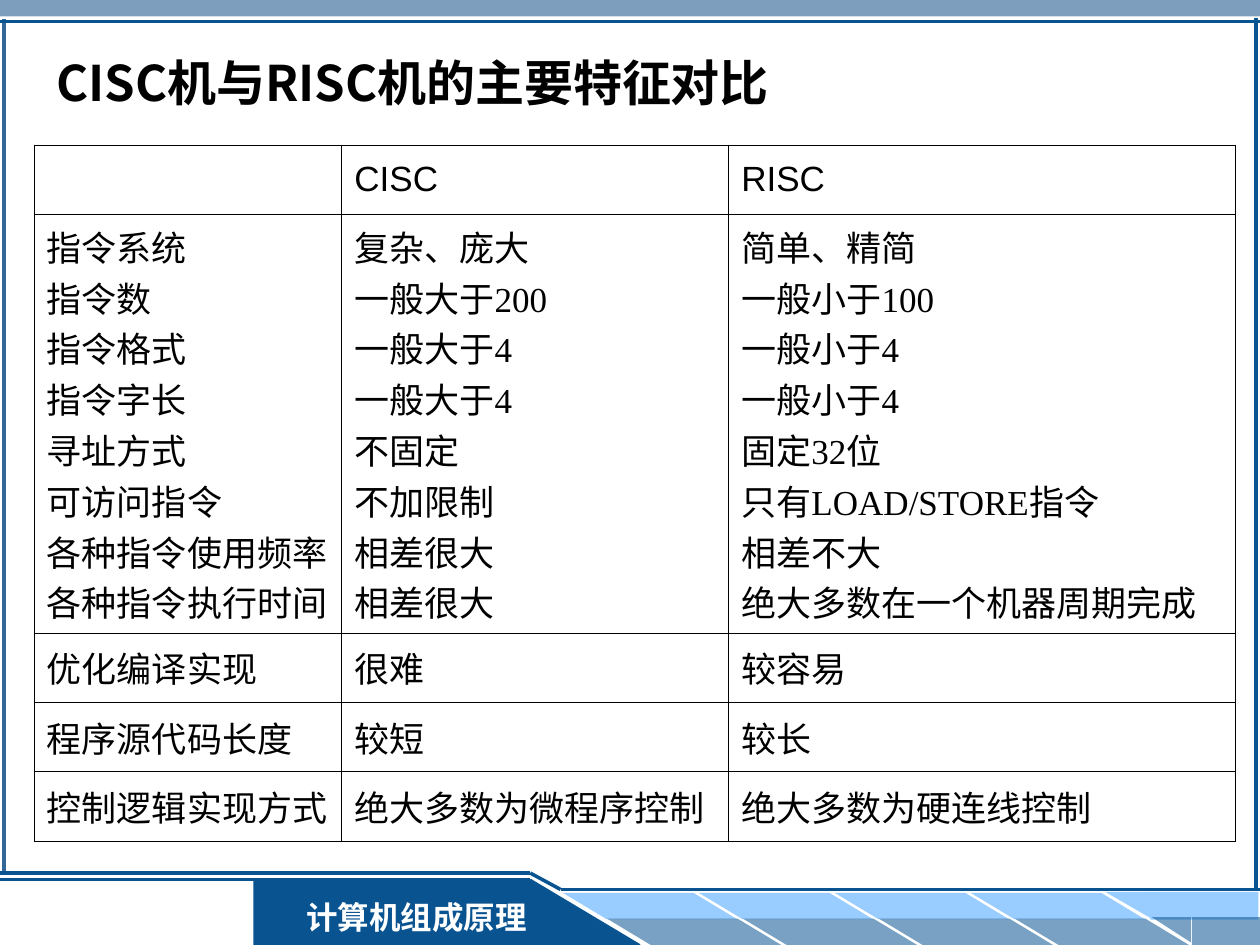
from dataclasses import dataclass

from lxml.etree import SubElement
from pptx import Presentation
from pptx.dml.color import RGBColor
from pptx.enum.shapes import MSO_CONNECTOR, MSO_SHAPE as Preset
from pptx.enum.text import MSO_ANCHOR, PP_ALIGN
from pptx.oxml.ns import qn
from pptx.util import Cm, Pt


@dataclass(frozen=True)
class Theme:
    navy: str = "095391"
    steel: str = "336699"
    sky: str = "99CCFF"
    black: str = "000000"
    white: str = "FFFFFF"
    chinese: str = "Noto Sans CJK SC"
    sans: str = "Arial"
    serif: str = "Times New Roman"
    title_size: int = 28
    table_size: int = 20
    footer_size: int = 18
    border: float = 0.45


theme = Theme()
presentation = Presentation()
presentation.slide_width, presentation.slide_height = Cm(25.4), Cm(19.05)
slide = presentation.slides.add_slide(presentation.slide_layouts[6])


def add_block(preset, left, top, width, height, color, alpha=100, flip=""):
    shape = slide.shapes.add_shape(preset, Cm(left), Cm(top), Cm(width), Cm(height))
    shape.shadow.inherit = False
    shape.line.fill.background()
    shape.fill.solid()
    shape.fill.fore_color.rgb = RGBColor.from_string(color)
    if alpha < 100:
        fill_color = shape._element.spPr.find(".//" + qn("a:srgbClr"))
        SubElement(fill_color, qn("a:alpha"), val=str(alpha * 1000))
    for axis in flip:
        shape._element.spPr.xfrm.set("flip" + axis, "1")
    return shape


def style_paragraph(paragraph, latin, size, color, bold=False):
    font = paragraph.font
    font.name, font.size, font.bold = latin, Pt(size), bold
    font.color.rgb = RGBColor.from_string(color)
    defaults = paragraph._p.pPr.find(qn("a:defRPr"))
    SubElement(defaults, qn("a:ea"), typeface=theme.chinese)


add_block(Preset.RECTANGLE, 0, 0, 25.4, 0.33, theme.steel, 63)
add_block(Preset.RECTANGLE, 5.11, 17.73, 5.6, 1.32, theme.navy)

for column in range(4):
    offset = column * 2.74
    for left, top, color, alpha in [
        (11.35, 18, theme.sky, 100),
        (12.24, 18.52, theme.navy, 54),
    ]:
        stripe = add_block(Preset.PARALLELOGRAM, left + offset, top, 3.51, 0.53, color, alpha, "H")
        stripe.adjustments[0] = 1.66

add_block(Preset.RECTANGLE, 23.19, 17.98, 2.18, 0.56, theme.sky)
add_block(Preset.RIGHT_TRIANGLE, 22.28, 17.98, 0.97, 0.56, theme.sky, flip="HV")
add_block(Preset.RECTANGLE, 24.03, 18.49, 1.37, 0.56, theme.navy, 54)
add_block(Preset.RIGHT_TRIANGLE, 23.22, 18.49, 0.79, 0.51, theme.navy, 54, "HV")
add_block(Preset.RIGHT_TRIANGLE, 10.67, 17.73, 2.21, 1.32, theme.navy)

footer = add_block(Preset.RECTANGLE, 5.79, 17.98, 5.21, 1.02, theme.navy)
footer.text_frame.word_wrap = True
footer.text_frame.vertical_anchor = MSO_ANCHOR.MIDDLE
paragraph = footer.text_frame.paragraphs[0]
paragraph.text = "计算机组成原理"
paragraph.alignment = PP_ALIGN.CENTER
style_paragraph(paragraph, theme.serif, theme.footer_size, theme.white, True)

for x1, y1, x2, y2, color, width in [
    (0.08, 0.38, 0.08, 17.6, theme.steel, 2),
    (12.9, 19.05, 10.69, 17.73, theme.navy, 1),
    (10.69, 17.73, 0, 17.73, theme.navy, 1.5),
    (0, 17.6, 10.69, 17.6, theme.navy, 2),
    (10.69, 17.6, 11.3, 17.93, theme.navy, 2),
    (11.3, 17.93, 25.4, 17.93, theme.navy, 2),
    (0, 0.43, 25.4, 0.43, theme.navy, 2),
    (25.32, 0.36, 25.32, 17.96, theme.navy, 2),
]:
    connector = slide.shapes.add_connector(
        MSO_CONNECTOR.STRAIGHT, Cm(x1), Cm(y1), Cm(x2), Cm(y2)
    )
    connector.line.color.rgb = RGBColor.from_string(color)
    connector.line.width = Pt(width)
    SubElement(connector._element.spPr, qn("a:effectLst"))

title = slide.shapes.add_textbox(Cm(0.89), Cm(0.76), Cm(24.05), Cm(1.8))
title.text_frame.word_wrap = True
title.text_frame.vertical_anchor = MSO_ANCHOR.MIDDLE
paragraph = title.text_frame.paragraphs[0]
paragraph.text = "CISC机与RISC机的主要特征对比"
style_paragraph(paragraph, theme.chinese, theme.title_size, theme.black, True)

instruction_features = [
    ("指令系统", "复杂、庞大", "简单、精简"),
    ("指令数", "一般大于200", "一般小于100"),
    ("指令格式", "一般大于4", "一般小于4"),
    ("指令字长", "一般大于4", "一般小于4"),
    ("寻址方式", "不固定", "固定32位"),
    ("可访问指令", "不加限制", "只有LOAD/STORE指令"),
    ("各种指令使用频率", "相差很大", "相差不大"),
    ("各种指令执行时间", "相差很大", "绝大多数在一个机器周期完成"),
]
rows = [
    ("", "CISC", "RISC"),
    ["\n".join(lines) for lines in zip(*instruction_features)],
    ("优化编译实现", "很难", "较容易"),
    ("程序源代码长度", "较短", "较长"),
    ("控制逻辑实现方式", "绝大多数为微程序控制", "绝大多数为硬连线控制"),
]
column_widths = [6.2, 7.8, 10.21]
row_heights = [1.4, 8.44, 1.4, 1.4, 1.4]

table = slide.shapes.add_table(
    len(rows), len(column_widths), Cm(0.69), Cm(2.92),
    Cm(sum(column_widths)), Cm(sum(row_heights)),
).table
table.first_row = table.horz_banding = False
for column, width in zip(table.columns, column_widths):
    column.width = Cm(width)
for row, height in zip(table.rows, row_heights):
    row.height = Cm(height)

for row_index, texts in enumerate(rows):
    for column_index, text in enumerate(texts):
        cell = table.cell(row_index, column_index)
        cell.text = text
        cell.vertical_anchor = MSO_ANCHOR.MIDDLE
        properties = cell._tc.get_or_add_tcPr()
        for side in ("lnL", "lnR", "lnT", "lnB"):
            border = SubElement(properties, qn("a:" + side), w=str(Pt(theme.border)))
            border_fill = SubElement(border, qn("a:solidFill"))
            SubElement(border_fill, qn("a:srgbClr"), val=theme.black)
        cell.fill.background()
        for paragraph in cell.text_frame.paragraphs:
            indent = Cm(0.97)
            paragraph_properties = paragraph._p.get_or_add_pPr()
            paragraph_properties.set("marL", str(indent))
            paragraph_properties.set("indent", str(-indent))
            latin = theme.serif if row_index else theme.sans
            style_paragraph(paragraph, latin, theme.table_size, theme.black)

presentation.save("out.pptx")
